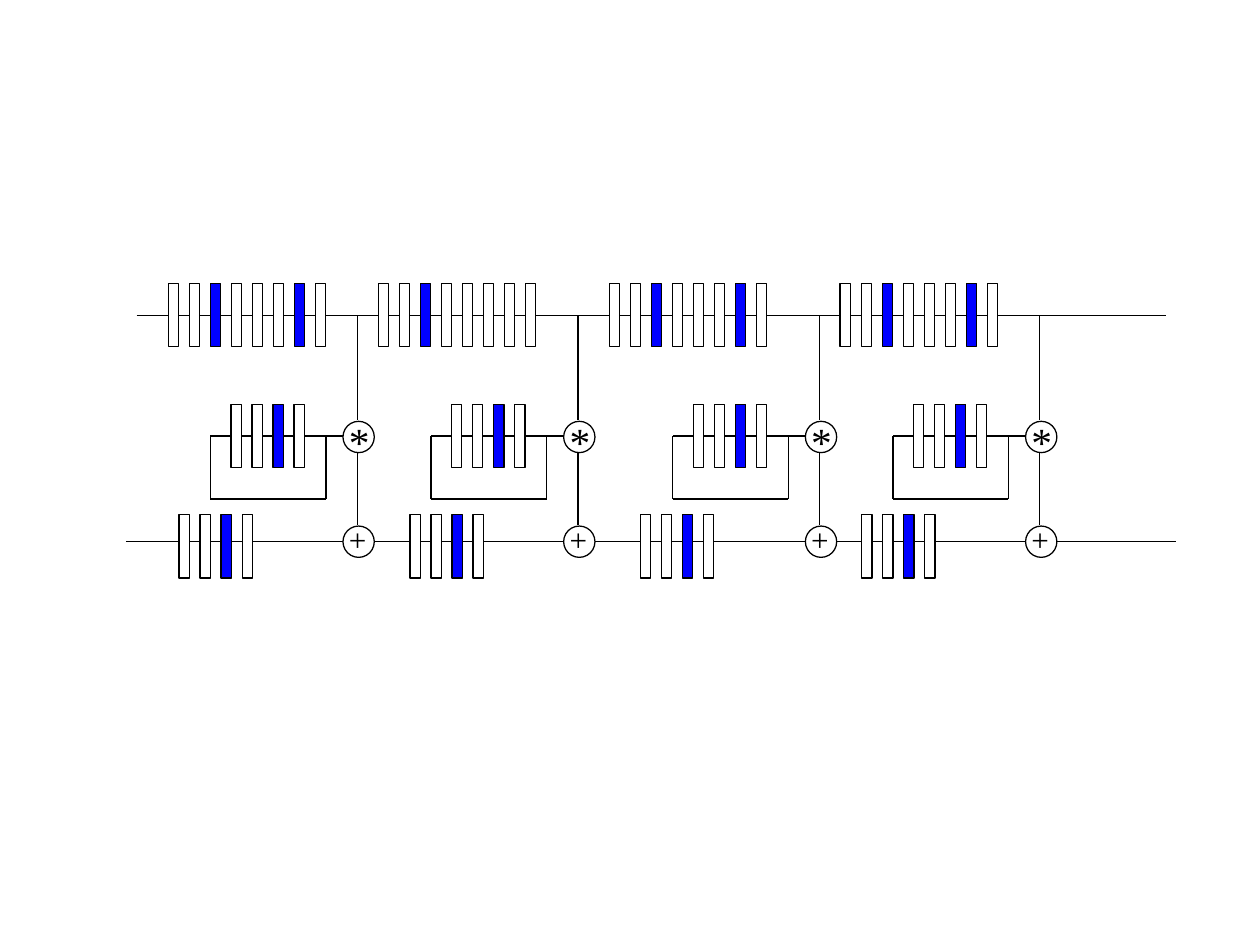
from dataclasses import dataclass

from pptx import Presentation
from pptx.dml.color import RGBColor
from pptx.enum.shapes import MSO_CONNECTOR as Connector, MSO_SHAPE as Shape
from pptx.enum.text import MSO_AUTO_SIZE as AutoSize
from pptx.oxml.ns import qn
from pptx.util import Cm, Pt
from lxml.etree import SubElement

BLACK = RGBColor(0x00, 0x00, 0x00)
WHITE = RGBColor(0xFF, 0xFF, 0xFF)
BLUE = RGBColor(0x00, 0x00, 0xFF)
FONT = "Times New Roman"
LINE_WIDTH = Pt(0.75)

BAR_WIDTH, BAR_HEIGHT, BAR_PITCH = 0.21, 1.29, 0.43
CIRCLE_SIZE = 0.64
TOP_WIRE, LOOP_WIRE, LOOP_BOTTOM, BOTTOM_WIRE = 6.44, 8.91, 10.2, 11.06
TOP_BARS, LOOP_BARS, BOTTOM_BARS = 5.79, 8.26, 10.52

TOP_SPANS = ((2.79, 8.79), (4.93, 10.95), (9.45, 15.44), (14.38, 20.4), (18.9, 23.83))
BOTTOM_SPANS = ((2.57, 10.95), (9.45, 15.44), (14.38, 20.4), (18.9, 24.04))


@dataclass
class Stage:
    """Horizontal places, in centimetres, of one stage of the circuit."""
    stem: float
    top_left: float
    bottom_left: float
    top_blue: tuple


STAGES = (
    Stage(7.3, 3.44, 3.66, (2, 6)),
    Stage(11.81, 7.73, 8.38, (2,)),
    Stage(16.75, 12.45, 13.09, (2, 6)),
    Stage(21.25, 17.17, 17.61, (2, 6)),
)


def add_wire(page, x1, y1, x2, y2):
    """Draw a thin black line between two points."""
    wire = page.shapes.add_connector(Connector.STRAIGHT, Cm(x1), Cm(y1), Cm(x2), Cm(y2))
    wire.line.color.rgb = BLACK
    wire.line.width = LINE_WIDTH
    SubElement(wire._element.spPr, qn("a:effectLst"))


def add_outlined(shapes, kind, left, top, width, height, fill):
    """Draw a filled shape with a thin black outline."""
    shape = shapes.add_shape(kind, Cm(left), Cm(top), Cm(width), Cm(height))
    shape.shadow.inherit = False
    shape.fill.solid()
    shape.fill.fore_color.rgb = fill
    shape.line.color.rgb = BLACK
    shape.line.width = LINE_WIDTH


def add_register(page, left, top, count, blue):
    """Draw a row of evenly spaced bars, those listed in blue filled blue."""
    for index in range(count):
        fill = BLUE if index in blue else WHITE
        add_outlined(page.shapes, Shape.RECTANGLE, left + index * BAR_PITCH, top,
                     BAR_WIDTH, BAR_HEIGHT, fill)


def add_operator(page, stem, circle_top, text_top, text_height, symbol, size):
    """Draw a circled operator as a group on a stem."""
    group = page.shapes.add_group_shape()
    add_outlined(group.shapes, Shape.OVAL, stem - 0.29, circle_top,
                 CIRCLE_SIZE, CIRCLE_SIZE, WHITE)
    box = group.shapes.add_textbox(Cm(stem - 0.42), Cm(text_top), Cm(1.72), Cm(text_height))
    frame = box.text_frame
    frame.word_wrap = True
    frame.auto_size = AutoSize.SHAPE_TO_FIT_TEXT
    para = frame.paragraphs[0]
    para.text = symbol
    para.font.name = FONT
    para.font.size = Pt(size)
    para.font.color.rgb = BLACK


def add_stage_wires(page, stem):
    """Draw the stem and the feedback loop of a stage."""
    left, right = stem - 3, stem - 0.64
    add_wire(page, stem, TOP_WIRE, stem, 8.59)
    add_wire(page, stem, 9.22, stem, 10.72)
    add_wire(page, left, LOOP_WIRE, stem - 0.2, LOOP_WIRE)
    add_wire(page, left, LOOP_WIRE, left, LOOP_BOTTOM)
    add_wire(page, left, LOOP_BOTTOM, right, LOOP_BOTTOM)
    add_wire(page, right, LOOP_BOTTOM, right, LOOP_WIRE)


def add_stage(page, stage):
    """Draw the wires, registers and operators of a stage."""
    add_stage_wires(page, stage.stem)
    add_register(page, stage.top_left, TOP_BARS, 8, stage.top_blue)
    add_register(page, stage.stem - 2.58, LOOP_BARS, 4, (2,))
    add_register(page, stage.bottom_left, BOTTOM_BARS, 4, (2,))
    add_operator(page, stage.stem, 8.61, 8.37, 1.27, "*", 24)
    add_operator(page, stage.stem, 10.75, 10.52, 1.02, "+", 18)


def main():
    """Build the circuit slide and save it."""
    deck = Presentation()
    deck.slide_width, deck.slide_height = Cm(25.75), Cm(19.31)
    page = deck.slides.add_slide(deck.slide_layouts[6])
    for height, spans in ((TOP_WIRE, TOP_SPANS), (BOTTOM_WIRE, BOTTOM_SPANS)):
        for start, end in spans:
            add_wire(page, start, height, end, height)
    for stage in STAGES:
        add_stage(page, stage)
    deck.save("out.pptx")


if __name__ == "__main__":
    main()
